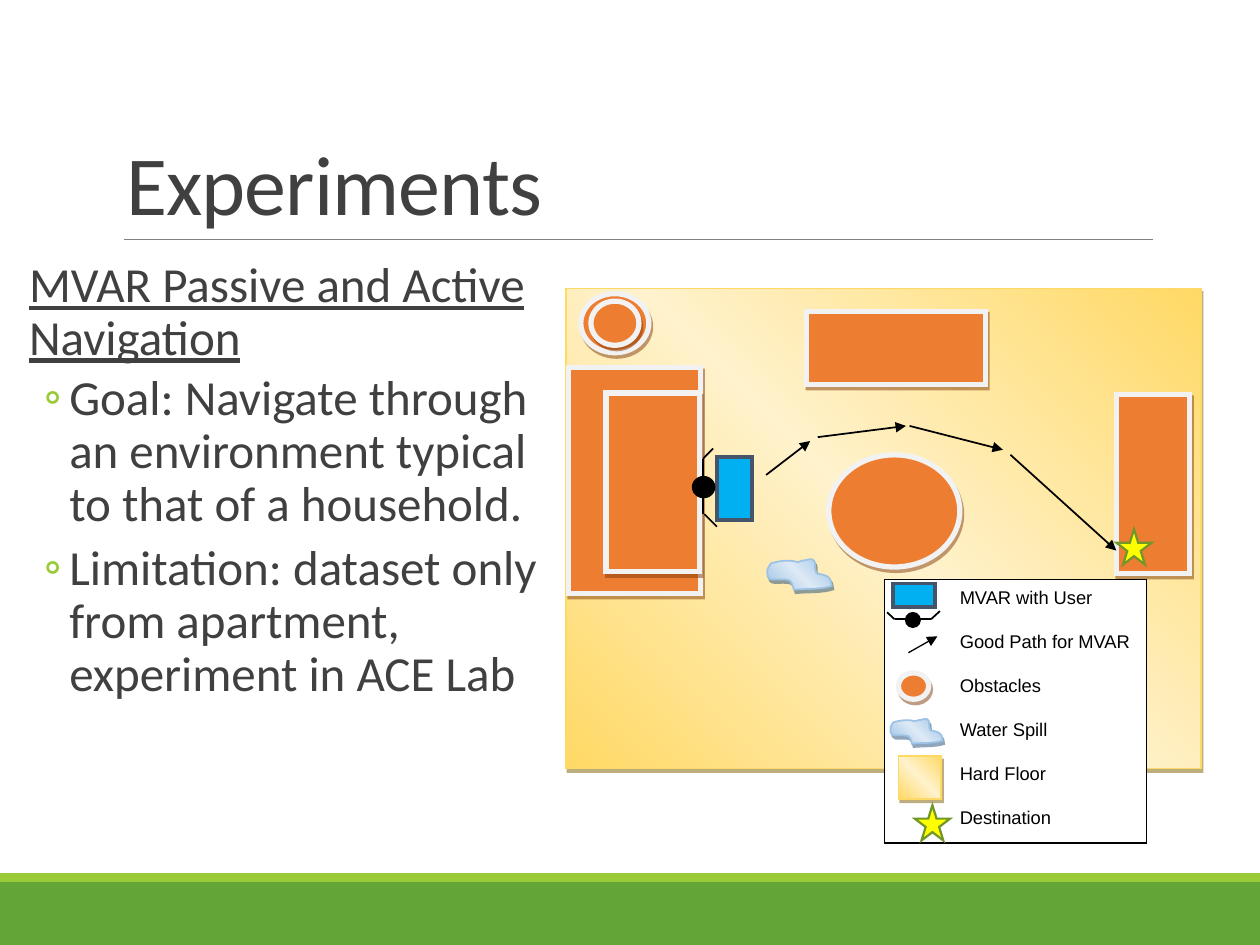
from lxml.etree import SubElement
from copy import deepcopy

from pptx import Presentation
from pptx.dml.color import RGBColor
from pptx.enum.shapes import MSO_CONNECTOR, MSO_SHAPE as SHAPE
from pptx.enum.text import MSO_ANCHOR as ANCHOR, MSO_AUTO_SIZE, PP_ALIGN as ALIGN
from pptx.oxml.ns import qn
from pptx.util import Pt

COLORS = {
    "white": "FFFFFF", "black": "000000", "text": "404040", "rule": "808080",
    "green": "63A537", "lime": "99CB38",
    "floor": "FFD966", "floor_light": "FFF2CC", "floor_shadow": "7F5F00",
    "obstacle": "ED7D31", "obstacle_edge": "F2F2F2", "obstacle_shadow": "823B0B",
    "water": "9CC2E5", "water_light": "DEEAF6", "water_shadow": "1F4D78",
    "robot": "00B0F0", "robot_edge": "44546A",
    "star": "FFFF00", "star_edge": "719629",
}

# Puddle outline in hundredths of an inch: start, then three points per curve
PUDDLE_START = (25, 3)
PUDDLE_POINTS = [
    (18, 1), (11, 2), (4, 4), (3, 6), (1, 7), (1, 9),
    (0, 20), (5, 16), (16, 17), (17, 18), (19, 17), (19, 18),
    (21, 20), (22, 25), (22, 25), (31, 24), (43, 25), (52, 22),
    (52, 20), (52, 19), (51, 17), (49, 13), (44, 13), (40, 12),
    (39, 11), (39, 10), (39, 9), (38, 6), (40, 3), (37, 1),
    (35, 0), (31, 2), (28, 2), (27, 3), (25, 3), (25, 3),
]


def rgb(name):
    return RGBColor.from_string(COLORS[name])


def style(sp, fill, edge=None, width=1, light=None, shadow=None):
    sp_pr = sp._element.spPr
    if light:
        sp.fill.gradient()
        sp.fill.gradient_angle = 45
        stops = sp_pr.find(qn("a:gradFill")).find(qn("a:gsLst"))
        middle = deepcopy(stops[0])
        middle.set("pos", "50000")
        stops.insert(1, middle)
        for stop, name in zip(sp.fill.gradient_stops, (fill, light, fill)):
            stop.color.rgb = rgb(name)
    else:
        sp.fill.solid()
        sp.fill.fore_color.rgb = rgb(fill)
    if edge:
        sp.line.color.rgb = rgb(edge)
        sp.line.width = Pt(width)
        SubElement(sp_pr.find(qn("a:ln")), qn("a:miter"), lim="800000")
    else:
        sp.line.fill.background()
    sp.shadow.inherit = False
    if shadow:
        outer = SubElement(sp_pr.find(qn("a:effectLst")), qn("a:outerShdw"), blurRad="0",
                           dist=str(Pt(2.2)), dir=str(63 * 60000), algn="ctr", rotWithShape="0")
        color = SubElement(outer, qn("a:srgbClr"), val=COLORS[shadow])
        SubElement(color, qn("a:alpha"), val="50000")


def add_box(s, kind, box, *args, **kwargs):
    sp = s.shapes.add_shape(kind, *map(Pt, box))
    style(sp, *args, **kwargs)
    return sp


def add_obstacle(s, kind, *box):
    add_box(s, kind, box, "obstacle", "obstacle_edge", 3, shadow="obstacle_shadow")


def add_floor(s, *box):
    add_box(s, SHAPE.RECTANGLE, box, "floor", "floor", light="floor_light", shadow="floor_shadow")


def add_robot(s, *box):
    add_box(s, SHAPE.RECTANGLE, box, "robot", "robot_edge", 2.25)


def add_star(s, x, y):
    add_box(s, SHAPE.STAR_5_POINT, (x, y, 20.2, 20.2), "star", "star_edge", 1.25)


def add_line(s, x1, y1, x2, y2, color="black", width=1, arrow=False):
    line = s.shapes.add_connector(MSO_CONNECTOR.STRAIGHT, *map(Pt, (x1, y1, x2, y2)))
    line.line.color.rgb = rgb(color)
    line.line.width = Pt(width)
    sp_pr = line._element.spPr
    if arrow:
        SubElement(sp_pr.find(qn("a:ln")), qn("a:tailEnd"), type="triangle")
    SubElement(sp_pr, qn("a:effectLst"))


def add_user(s, head, limbs):
    add_box(s, SHAPE.OVAL, head, "black", "black", 1.25)
    for limb in limbs:
        add_line(s, *limb)


def add_puddle(s, x, y, scale=1):
    def place(point):
        return Pt(x + point[0] * 0.72 * scale), Pt(y + point[1] * 0.72 * scale)

    builder = s.shapes.build_freeform(*place(PUDDLE_START))
    builder.add_line_segments([place(point) for point in PUDDLE_POINTS], close=True)
    sp = builder.convert_to_shape()
    # Turn every three straight segments into one curve
    segments = list(sp._element.spPr.iter(qn("a:lnTo")))
    for a, b, c in zip(segments[::3], segments[1::3], segments[2::3]):
        outline = a.getparent()
        curve = SubElement(outline, qn("a:cubicBezTo"))
        outline.replace(a, curve)
        for segment in (a, b, c):
            curve.append(segment[0])
        outline.remove(b)
        outline.remove(c)
    style(sp, "water", "water", light="water_light", shadow="water_shadow")


def add_title(s, text):
    title = s.shapes.title
    title.left, title.top, title.width, title.height = map(Pt, (64.8, 22.3, 594, 114.5))
    tf = title.text_frame
    tf.auto_size, tf.vertical_anchor = MSO_AUTO_SIZE.NONE, ANCHOR.BOTTOM
    p = tf.paragraphs[0]
    p.alignment, p.line_spacing = ALIGN.LEFT, 0.85
    add_run(p, text, 48).font._element.set("spc", "-50")


def add_run(p, text, size, font="Calibri", color="text"):
    r = p.add_run()
    r.text = text
    r.font.size, r.font.name = Pt(size), font
    r.font.color.rgb = rgb(color)
    return r


def add_body(s, heading, bullets):
    tf = s.shapes.add_textbox(*map(Pt, (9.4, 145.4, 308.9, 316.8))).text_frame
    tf.word_wrap = True
    tf.margin_left = tf.margin_right = 0
    p = tf.paragraphs[0]
    p.line_spacing, p.space_after = 0.9, Pt(2)
    p._p.get_or_add_pPr().set("marL", str(Pt(7.2)))
    add_run(p, heading, 28).font.underline = True
    for text in bullets:
        p = tf.add_paragraph()
        p.level, p.line_spacing = 1, 0.9
        p.space_before, p.space_after = Pt(2), Pt(4)
        p_pr = p._p.get_or_add_pPr()
        p_pr.set("marL", str(Pt(30.2)))
        p_pr.set("indent", str(Pt(-14.4)))
        SubElement(SubElement(p_pr, qn("a:buClr")), qn("a:srgbClr"), val=COLORS["lime"])
        SubElement(p_pr, qn("a:buFont"), typeface="Calibri", pitchFamily="34", charset="0")
        SubElement(p_pr, qn("a:buChar"), char="◦")
        add_run(p, text, 28)


def add_map(s):
    add_floor(s, 323.3, 164.9, 362.9, 274.3)
    # Furniture
    add_obstacle(s, SHAPE.OVAL, 473.6, 259.9, 74.9, 64.1)
    add_obstacle(s, SHAPE.RECTANGLE, 324.7, 210.2, 75.6, 128.9)
    add_obstacle(s, SHAPE.OVAL, 331.9, 167.8, 38.9, 33.8)
    add_obstacle(s, SHAPE.OVAL, 337.7, 172.1, 27.4, 25.2)
    add_obstacle(s, SHAPE.RECTANGLE, 346.3, 224.6, 53.3, 102.2)
    add_obstacle(s, SHAPE.RECTANGLE, 460.8, 177.8, 102.2, 41.8)
    add_obstacle(s, SHAPE.RECTANGLE, 637.9, 225.4, 41.8, 102.2)
    add_puddle(s, 437.8, 319)
    add_star(s, 637.9, 302.4)
    # Path
    for leg in [(437.8, 271.4, 463, 252), (467.3, 249.8, 517.7, 243.4),
                (519.8, 243.4, 573.1, 257), (577.4, 259.9, 637.9, 314.6)]:
        add_line(s, *leg, arrow=True)
    # Robot and user
    add_robot(s, 409.7, 261.4, 20.2, 36)
    add_user(s, (396, 272.6, 12.2, 11.5),
             [(401.8, 262.1, 401.8, 293.8), (407.5, 256.3, 401.8, 262.1),
              (409.7, 301, 402.5, 293.8)])


def add_legend(s, labels):
    box = add_box(s, SHAPE.RECTANGLE, (505.4, 331.2, 149.8, 150.5), "white", "black", 0.75)
    tf = box.text_frame
    tf.word_wrap, tf.vertical_anchor = True, ANCHOR.TOP
    for i, label in enumerate(labels):
        p = tf.add_paragraph() if i else tf.paragraphs[0]
        p.alignment = ALIGN.LEFT
        if i:
            p.space_before = Pt(12.6)
        p._p.get_or_add_pPr().set("marL", str(Pt(36)))
        add_run(p, label, 10.5, "Arial", "black")
    # Keys
    add_robot(s, 510.1, 333.4, 24.5, 13.7)
    add_user(s, (517.7, 350.3, 7.9, 7.9),
             [(511.2, 353.9, 532.1, 353.9), (506.9, 349.9, 511.2, 353.9),
              (537.1, 349.2, 532.1, 353.8)])
    add_line(s, 519.1, 373, 535.7, 363.6, width=0.75, arrow=True)
    add_obstacle(s, SHAPE.OVAL, 513.4, 384.5, 17.3, 15.1)
    add_puddle(s, 508.3, 410.4, 0.81)
    add_floor(s, 513.4, 432, 24.5, 24.5)
    add_star(s, 522.7, 460.1)


def main():
    prs = Presentation()
    prs.slide_width, prs.slide_height = Pt(720), Pt(540)
    s = prs.slides.add_slide(prs.slide_layouts[5])
    # Footer bands and title rule
    add_box(s, SHAPE.RECTANGLE, (0, 504, 720, 36), "green")
    add_box(s, SHAPE.RECTANGLE, (0, 499, 720, 5), "lime")
    add_line(s, 70.6, 136.8, 658.8, 136.8, "rule", 0.5)
    add_title(s, "Experiments")
    add_body(s, "MVAR Passive and Active Navigation", [
        "Goal: Navigate through an environment typical to that of a household.",
        "Limitation: dataset only from apartment, experiment in ACE Lab"])
    # Floor plan with its legend
    plan = s.shapes.add_group_shape()
    add_map(plan)
    add_legend(plan, ["MVAR with User", "Good Path for MVAR", "Obstacles",
                      "Water Spill", "Hard Floor", "Destination"])
    prs.save("out.pptx")


if __name__ == "__main__":
    main()
